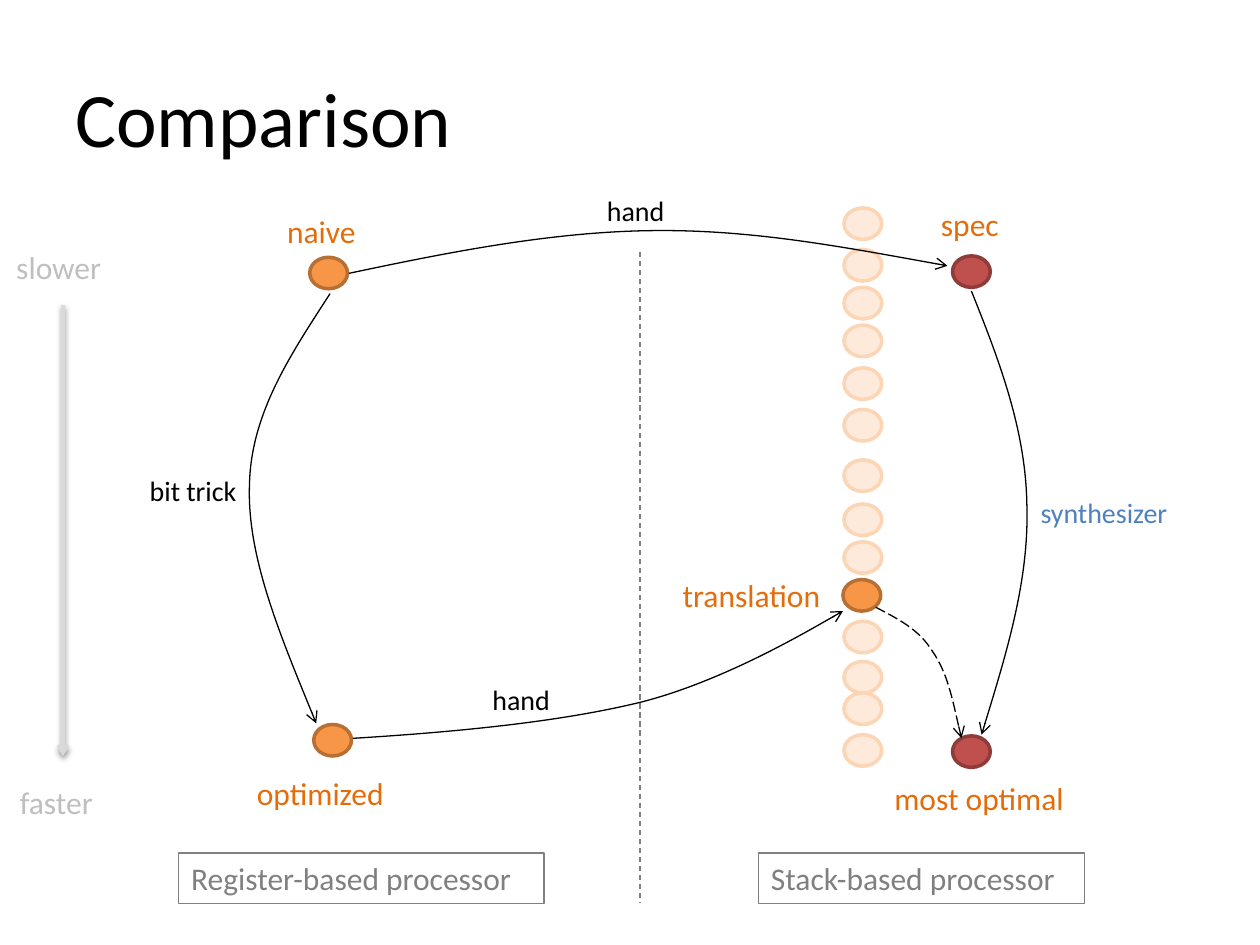
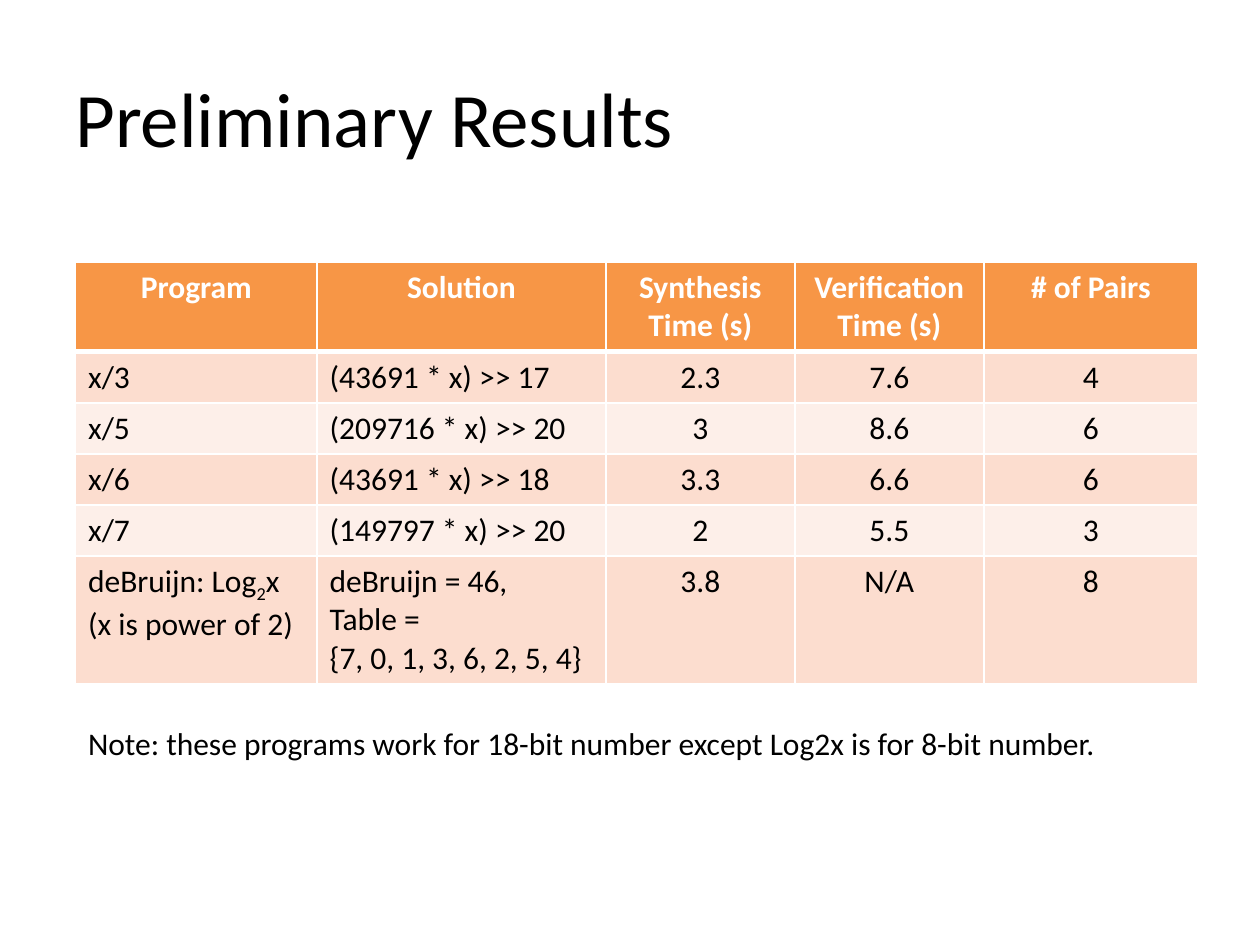
from lxml.etree import SubElement
from pptx import Presentation
from pptx.dml.color import RGBColor
from pptx.enum.dml import MSO_LINE
from pptx.enum.shapes import MSO_CONNECTOR, MSO_SHAPE
from pptx.enum.text import MSO_ANCHOR, MSO_AUTO_SIZE, PP_ALIGN
from pptx.oxml.ns import qn
from pptx.util import Pt

FONT = "Calibri"
BLACK, WHITE, GRAY = "000000", "FFFFFF", "808080"
SILVER, PALE_GRAY = "BFBFBF", "D9D9D9"
ORANGE, RUST, BLUE = "F79646", "E46C0A", "4F81BD"

# Comparison: fill and outline of each kind of dot
GOLD = (ORANGE, "B76F34")
RED = ("C0504D", "8E3B39")
FAINT = ("FDEADA", "FCD5B5")
DOT_W, DOT_H = 21.6, 18
DOTS = [(177, 147, GOLD), (179.3, 414, GOLD), (544.3, 146.2, RED),
        (544.3, 420.5, RED), (481.7, 331.2, GOLD)]
TRIAL_X = 482.3
TRIALS = [118.8, 142.6, 164.2, 185.8, 210.2, 234, 262.8,
          288, 309.6, 355, 378, 396, 419.8]

# Each arc: a start point, then two control points and an end per bend
ARCS = [
    [(188.6, 167.8), (166.3, 202.3), (143.3, 236.2), (142.6, 277.2),
     (141.1, 317.5), (161.3, 365.8), (180.7, 413.3)],
    [(201.6, 421.9), (260.6, 418.3), (320.4, 412.6), (367.2, 401),
     (414, 388.8), (481.7, 349.2), (481.7, 349.2)],
    [(555.1, 166.3), (571, 205.9), (586.1, 245.5), (586.8, 288),
     (588.2, 330.5), (574.6, 375.1), (560.9, 419.8)],
]
GUESS = [(500.4, 347), (512.6, 353.5), (524.9, 359.3), (532.8, 372.2),
         (541.4, 384.5), (545, 403.2), (549.4, 421.9)]
PORT = [(199.4, 156.2), (257, 144), (315.4, 132.5), (372.2, 131.8),
        (429.1, 131), (485.3, 141.8), (541.4, 151.9)]

# Labels: text, left, top, width, size, colour
LABELS = [
    ("slower", 2.2, 138.2, 67, 18, SILVER),
    ("faster", 4.3, 444.2, 59.8, 18, SILVER),
    ("naive", 157, 117.4, 55.4, 18, RUST),
    ("optimized", 139.7, 438.5, 92.2, 18, RUST),
    ("spec", 530.6, 113.8, 49.7, 18, RUST),
    ("most optimal", 504, 441.4, 117.4, 18, RUST),
    ("translation", 383, 325.4, 98.6, 18, RUST),
    ("hand", 339.8, 107.3, 50.4, 16, BLACK),
    ("bit trick", 78.5, 267.1, 67, 16, BLACK),
    ("hand", 274.3, 386.6, 50.4, 16, BLACK),
    ("synthesizer", 587.5, 279.4, 92.2, 16, BLUE),
]
SIDES = [("Register-based processor", 102.2, 208.8),
         ("Stack-based processor", 433.4, 186.5)]

# Preliminary results: ~ marks a subscript
HEADS = ["Program", "Solution", "Synthesis\nTime (s)",
         "Verification\nTime (s)", "# of Pairs"]
ROWS = [
    ["x/3", "(43691 * x) >> 17", "2.3", "7.6", "4"],
    ["x/5", "(209716 * x) >> 20", "3", "8.6", "6"],
    ["x/6", "(43691 * x) >> 18", "3.3", "6.6", "6"],
    ["x/7", "(149797 * x) >> 20", "2", "5.5", "3"],
    ["deBruijn: Log~2~x\n(x is power of 2)",
     "deBruijn = 46,\nTable =\n{7, 0, 1, 3, 6, 2, 5, 4}", "3.8", "N/A", "8"],
]
COLS = [138, 165, 108, 108, 122.4]
HIGH = [50.4] + [29.2] * 4 + [72.8]
BANDS = ["FCDDCF", "FDEFE9"]
NOTE = "Note: these programs work for 18-bit number except Log2x is for 8-bit number."


def rgb(code):
    return RGBColor.from_string(code)


def write(frame, text, size=18, color=BLACK, bold=False, align=PP_ALIGN.LEFT):
    for i, row in enumerate(text.split("\n")):
        para = frame.paragraphs[0] if i == 0 else frame.add_paragraph()
        para.alignment = align
        for j, part in enumerate(row.split("~")):
            run = para.add_run()
            run.text = part
            font = run.font
            font.name, font.size, font.bold = FONT, Pt(size), bold
            font.color.rgb = rgb(color)
            if j % 2:
                run._r.get_or_add_rPr().set("baseline", "-25000")


def stroke(shape, color, width=0.75, dash=None, arrow=False):
    line = shape.line
    line.color.rgb = rgb(color)
    line.width = Pt(width)
    if dash:
        line.dash_style = dash
    if arrow:
        SubElement(shape.element.spPr.find(qn("a:ln")), qn("a:tailEnd"), type="arrow")


def label(slide, text, x, y, w, h=28.8, wrap=False, **style):
    box = slide.shapes.add_textbox(Pt(x), Pt(y), Pt(w), Pt(h))
    frame = box.text_frame
    frame.word_wrap = wrap
    frame.auto_size = MSO_AUTO_SIZE.NONE if wrap else MSO_AUTO_SIZE.SHAPE_TO_FIT_TEXT
    write(frame, text, **style)
    return box


def start(deck, title):
    slide = deck.slides.add_slide(deck.slide_layouts[6])
    box = label(slide, title, 36, 21.6, 648, 90, wrap=True, size=44)
    box.text_frame.vertical_anchor = MSO_ANCHOR.MIDDLE
    return slide


def rule(slide, x, top, end, color, **style):
    line = slide.shapes.add_connector(MSO_CONNECTOR.STRAIGHT, Pt(x), Pt(top), Pt(x), Pt(end))
    stroke(line, color, **style)
    return SubElement(line.element.spPr, qn("a:effectLst"))


def dot(slide, x, y, look):
    oval = slide.shapes.add_shape(MSO_SHAPE.OVAL, Pt(x), Pt(y), Pt(DOT_W), Pt(DOT_H))
    oval.shadow.inherit = False
    oval.fill.solid()
    oval.fill.fore_color.rgb = rgb(look[0])
    stroke(oval, look[1], width=2)


def arc(slide, points, dash=None):
    spots = [(Pt(x), Pt(y)) for x, y in points]
    form = slide.shapes.build_freeform(*spots[0])
    form.add_line_segments(spots[1:], close=False)
    shape = form.convert_to_shape()
    shape.shadow.inherit = False
    shape.fill.background()
    stroke(shape, BLACK, dash=dash, arrow=True)
    # Join each three straight steps into one Bézier bend
    steps = list(shape.element.iter(qn("a:lnTo")))
    for i in range(0, len(steps), 3):
        bend = SubElement(steps[i].getparent(), qn("a:cubicBezTo"))
        for step in steps[i:i + 3]:
            bend.append(step[0])
            step.getparent().remove(step)


def compare(deck):
    slide = start(deck, "Comparison")
    # Divider and processor names
    rule(slide, 365.8, 144, 516.2, GRAY, dash=MSO_LINE.DASH)
    for text, x, w in SIDES:
        stroke(label(slide, text, x, 487.4, w, color=GRAY), GRAY)
    # Speed scale with a soft shadow
    glow = rule(slide, 36, 174.2, 432, PALE_GRAY, width=2, arrow=True)
    shade = SubElement(glow, qn("a:outerShdw"), blurRad=str(Pt(3.1)),
                       dist=str(Pt(1.6)), dir="5400000", rotWithShape="0")
    tint = SubElement(shade, qn("a:srgbClr"), val=BLACK)
    SubElement(tint, qn("a:alpha"), val="38000")
    # Programs, routes and names
    for x, y, look in DOTS:
        dot(slide, x, y, look)
    for points in ARCS:
        arc(slide, points)
    for text, x, y, w, size, color in LABELS:
        label(slide, text, x, y, w, 1.6 * size, size=size, color=color)
    arc(slide, GUESS, dash=MSO_LINE.LONG_DASH)
    for y in TRIALS:
        dot(slide, TRIAL_X, y, FAINT)
    arc(slide, PORT)


def border(cell, **widths):
    props = cell._tc.get_or_add_tcPr()
    for side in "LRTB":
        edge = SubElement(props, qn("a:ln" + side), w=str(Pt(widths.get(side, 1))))
        fill = SubElement(edge, qn("a:solidFill"))
        SubElement(fill, qn("a:srgbClr"), val=WHITE)


def results(deck):
    slide = start(deck, "Preliminary Results")
    grid = slide.shapes.add_table(len(HIGH), len(COLS), Pt(43.2), Pt(149.8),
                                  Pt(sum(COLS)), Pt(sum(HIGH))).table
    for col, w in zip(grid.columns, COLS):
        col.width = Pt(w)
    for row, h in zip(grid.rows, HIGH):
        row.height = Pt(h)
    # Header row, then banded rows
    for r, texts in enumerate([HEADS] + ROWS):
        head = r == 0
        for c, text in enumerate(texts):
            cell = grid.cell(r, c)
            border(cell, T=3 if r == 1 else 1, B=3 if head else 1)
            cell.fill.solid()
            cell.fill.fore_color.rgb = rgb(ORANGE if head else BANDS[(r - 1) % 2])
            mid = head or c > 1
            write(cell.text_frame, text, color=WHITE if head else BLACK, bold=head,
                  align=PP_ALIGN.CENTER if mid else PP_ALIGN.LEFT)
    label(slide, NOTE, 43.2, 410.4, 618.5)


def main():
    deck = Presentation()
    deck.slide_width, deck.slide_height = Pt(720), Pt(540)
    compare(deck)
    results(deck)
    deck.save("out.pptx")


if __name__ == "__main__":
    main()
